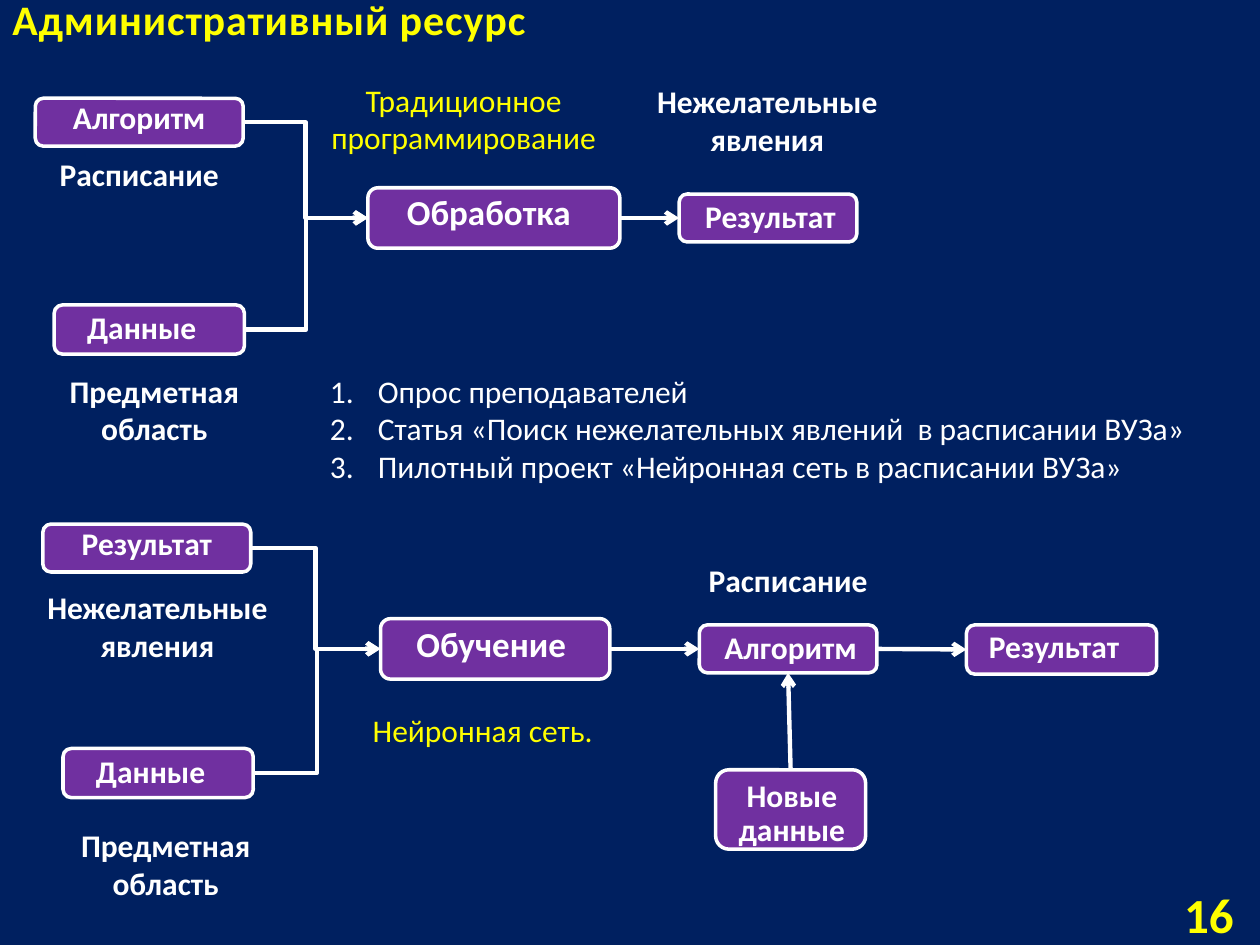
from pptx import Presentation
from pptx import util as u
from pptx.dml.color import RGBColor
from pptx.enum import shapes, text
from pptx.oxml.ns import qn
from lxml import etree

COLORS = {"navy": "002060", "purple": "7030A0", "white": "FFFFFF", "yellow": "FFFF00"}
LEFT, CENTER, RIGHT = text.PP_ALIGN.LEFT, text.PP_ALIGN.CENTER, text.PP_ALIGN.RIGHT
TOP, MIDDLE, BOTTOM = text.MSO_ANCHOR.TOP, text.MSO_ANCHOR.MIDDLE, text.MSO_ANCHOR.BOTTOM

TITLE = ("Административный ресурс", (0, 0.01, 4.52, 0.39))
NUMBER = ("16", (8.78, 7.05, 1.11, 0.4))

NODES = {
    "processing": ("Обработка", 20, (2.92, 1.49, 2, 0.48), (3.11, 1.62, 1.54, 0.16)),
    "algorithm": ("Алгоритм", 18, (0.28, 0.78, 1.65, 0.38), (0.28, 0.76, 1.65, 0.37)),
    "result": ("Результат", 18, (5.39, 1.54, 1.41, 0.38), (5.33, 1.54, 1.57, 0.39)),
    "data": ("Данные", 18, (0.43, 2.42, 1.51, 0.39), (0.43, 2.5, 1.39, 0.23)),
    "training": ("Обучение", 20, (3.02, 4.91, 1.82, 0.48), (3.2, 5.05, 1.4, 0.16)),
    "known result": ("Результат", 18, (0.34, 4.16, 1.65, 0.38), (0.34, 4.14, 1.65, 0.37)),
    "learned algorithm": ("Алгоритм", 18, (5.55, 4.96, 1.41, 0.38), (5.49, 4.96, 1.57, 0.39)),
    "training data": ("Данные", 18, (0.5, 5.94, 1.51, 0.39), (0.5, 6.02, 1.39, 0.23)),
    "new data": ("Новые\nданные", 18, (5.68, 6.11, 1.19, 0.63), (5.74, 6.27, 1.09, 0.38)),
    "new result": ("Результат", 18, (7.67, 4.96, 1.51, 0.39), (7.67, 5.03, 1.39, 0.23)),
}

SITE_TOP, SITE_LEFT, SITE_BOTTOM, SITE_RIGHT = range(4)
STRAIGHT, ELBOW = shapes.MSO_CONNECTOR.STRAIGHT, shapes.MSO_CONNECTOR.ELBOW
ACROSS, UP = (SITE_RIGHT, SITE_LEFT), (SITE_TOP, SITE_BOTTOM)
ARROWS = [
    ("processing", "result", STRAIGHT, ACROSS),
    ("data", "processing", ELBOW, ACROSS),
    ("algorithm", "processing", ELBOW, ACROSS),
    ("training", "learned algorithm", STRAIGHT, ACROSS),
    ("training data", "training", ELBOW, ACROSS),
    ("known result", "training", ELBOW, ACROSS),
    ("new data", "learned algorithm", STRAIGHT, UP),
    ("learned algorithm", "new result", STRAIGHT, ACROSS),
]

CAPTIONS = [
    ("Традиционное программирование", (2.53, 0.59, 2.3, 0.71), "yellow", False, CENTER),
    ("Нейронная сеть.", (2.86, 5.59, 1.97, 0.4), "yellow", False, LEFT),
    ("Нежелательные явления", (0.13, 4.62, 2.24, 0.71), "white", True, CENTER),
    ("Расписание", (5.31, 4.4, 1.89, 0.4), "white", True, CENTER),
    ("Предметная область", (0.37, 6.51, 1.89, 0.71), "white", True, CENTER),
    ("Нежелательные явления", (4.97, 0.6, 2.24, 0.71), "white", True, CENTER),
    ("Расписание", (0.16, 1.18, 1.89, 0.4), "white", True, CENTER),
    ("Предметная область", (0.28, 2.9, 1.89, 0.71), "white", True, CENTER),
]

STEPS = [
    "Опрос преподавателей",
    "Статья «Поиск нежелательных явлений  в расписании ВУЗа»",
    "Пилотный проект «Нейронная сеть в расписании ВУЗа»",
]
STEPS_AT = (2.52, 2.9, 7.36, 1.01)


def rgb(name):
    return RGBColor.from_string(COLORS[name])


def inches(at):
    return [u.Inches(value) for value in at]


def add_span(para, words, size, color, bold):
    span = para.add_run()
    span.text = words
    span.font.name = "Calibri"
    span.font.size = u.Pt(size)
    span.font.bold = bold
    span.font.color.rgb = rgb(color)
    return span


def add_text(parent, paras, at, size=18, color="white", bold=True,
             align=CENTER, anchor=TOP, inset=None, spacing=None):
    box = parent.add_textbox(*inches(at))
    frame = box.text_frame
    frame.word_wrap = True
    frame.vertical_anchor = anchor
    if inset is not None:
        frame.margin_left = frame.margin_right = u.Inches(inset)
        frame.margin_top = frame.margin_bottom = u.Inches(inset)
    for index, words in enumerate(paras):
        para = frame.add_paragraph() if index else frame.paragraphs[0]
        para.alignment = align
        if spacing:
            para.line_spacing = spacing
        for row, line in enumerate(words.split("\n")):
            if row:
                para.add_line_break()
            add_span(para, line, size, color, bold)
    return box


def add_node(page, label, size, at, label_at):
    group = page.shapes.add_group_shape()
    block = group.shapes.add_shape(shapes.MSO_SHAPE.ROUNDED_RECTANGLE, *inches(at))
    block.shadow.inherit = False
    block.fill.solid()
    block.fill.fore_color.rgb = rgb("purple")
    block.line.color.rgb = rgb("white")
    block.line.width = u.Pt(2)
    add_text(group.shapes, [label], label_at, size, anchor=MIDDLE, inset=0.03, spacing=0.9)
    return block


def add_arrow(page, source, target, kind, sites):
    arrow = page.shapes.add_connector(kind, 0, 0, 0, 0)
    arrow.begin_connect(source, sites[0])
    arrow.end_connect(target, sites[1])
    arrow.line.color.rgb = rgb("white")
    arrow.line.width = u.Pt(2.5)
    etree.SubElement(arrow.line._get_or_add_ln(), qn("a:tailEnd"), type="arrow")
    etree.SubElement(arrow._element.spPr, qn("a:effectLst"))


deck = Presentation()
deck.slide_width, deck.slide_height = u.Inches(10), u.Inches(7.5)
page = deck.slides.add_slide(deck.slide_layouts[6])
page.background.fill.solid()
page.background.fill.fore_color.rgb = rgb("navy")

words, at = NUMBER
add_text(page.shapes, [words], at, 28, "yellow", align=RIGHT, anchor=MIDDLE)
words, at = TITLE
title = add_text(page.shapes, [words], at, 24, "yellow", align=LEFT, anchor=BOTTOM)
title.text_frame.paragraphs[0].runs[0].font._element.set("spc", "50")

blocks = {name: add_node(page, *node) for name, node in NODES.items()}
for source, target, kind, sites in ARROWS:
    add_arrow(page, blocks[source], blocks[target], kind, sites)

for words, at, color, bold, align in CAPTIONS:
    caption = add_text(page.shapes, [words], at, color=color, bold=bold, align=align)
    caption.text_frame.auto_size = text.MSO_AUTO_SIZE.SHAPE_TO_FIT_TEXT

steps = add_text(page.shapes, STEPS, STEPS_AT, bold=False, align=LEFT)
steps.text_frame.auto_size = text.MSO_AUTO_SIZE.SHAPE_TO_FIT_TEXT
for para in steps.text_frame.paragraphs:
    props = para._p.get_or_add_pPr()
    props.set("marL", str(u.Inches(0.38)))
    props.set("indent", str(-u.Inches(0.38)))
    etree.SubElement(props, qn("a:buFont"), typeface="+mj-lt")
    etree.SubElement(props, qn("a:buAutoNum"), type="arabicPeriod")

deck.save("out.pptx")
